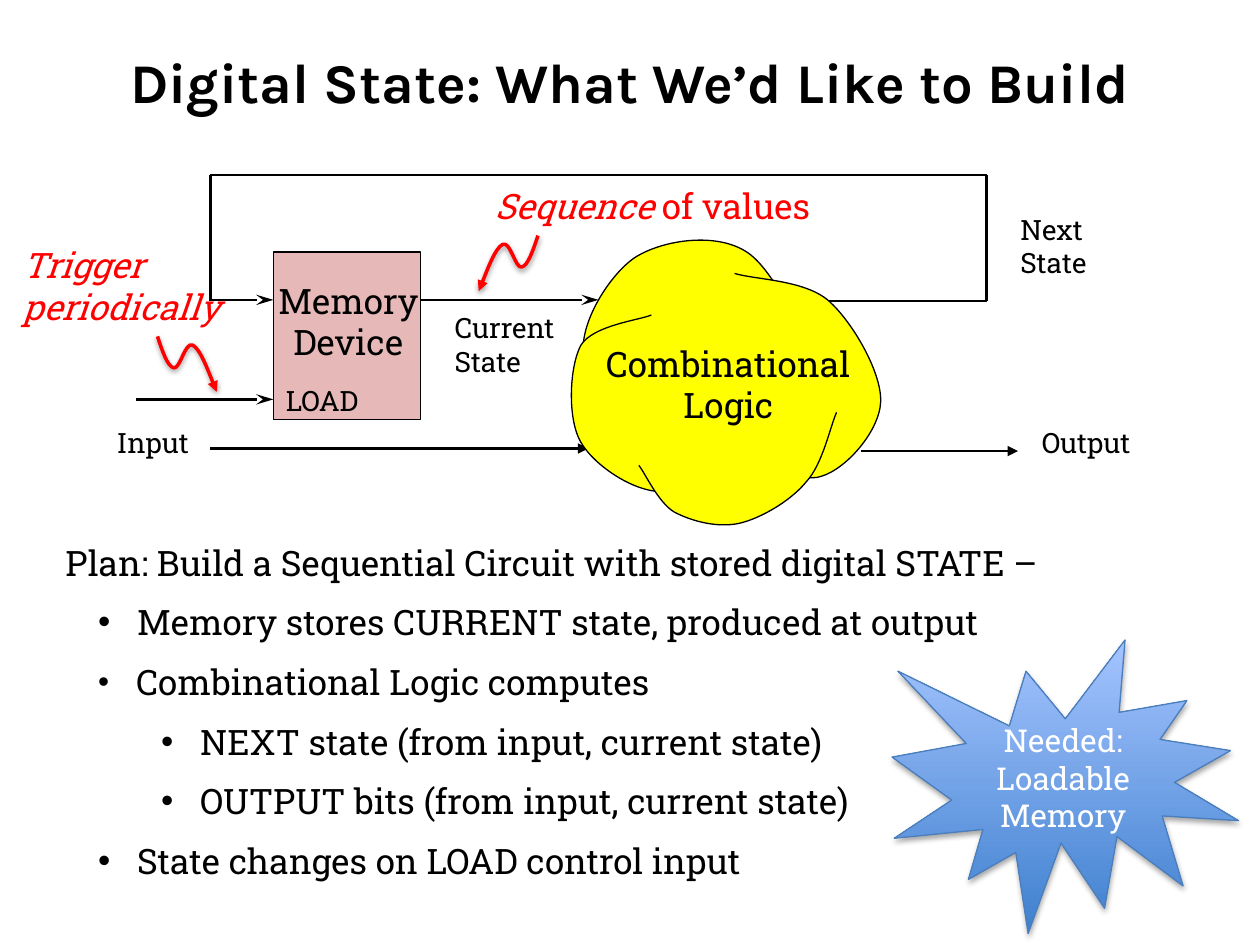
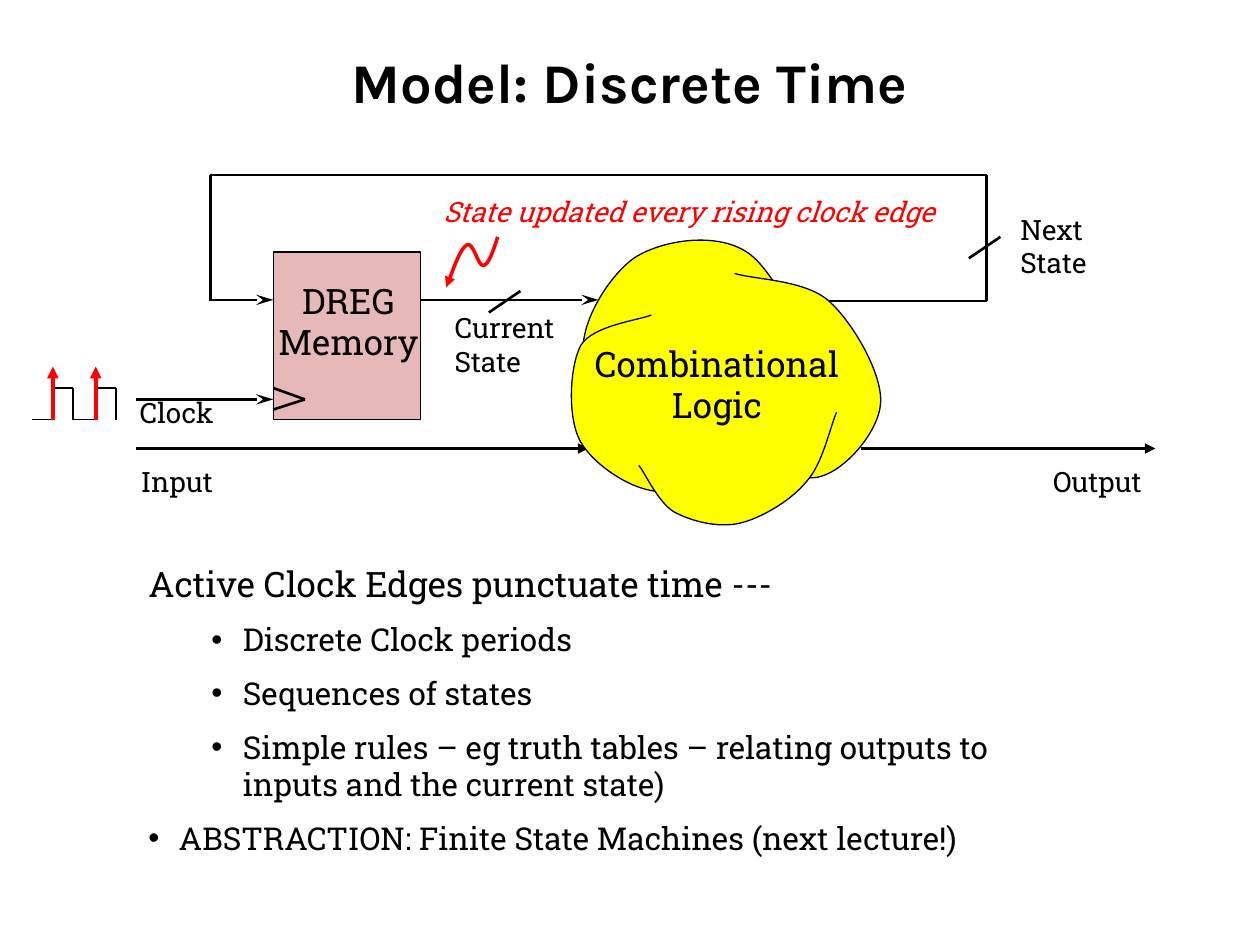
from dataclasses import dataclass
from itertools import pairwise
from math import cos, radians, sin
from typing import Optional

from lxml.etree import SubElement
from pptx import Presentation
from pptx.dml.color import RGBColor
from pptx.enum.shapes import MSO_CONNECTOR, MSO_SHAPE
from pptx.enum.text import MSO_ANCHOR, MSO_AUTO_SIZE, PP_ALIGN
from pptx.oxml.ns import qn
from pptx.util import Inches, Pt

BLACK, WHITE, RED = "000000", "FFFFFF", "FF0000"
CLOUD_YELLOW, MEMORY_PINK = "FFFF00", "E6B9B8"
SEAL_DARK, SEAL_LIGHT, SEAL_EDGE = "3F80CE", "A4C4FF", "4B7EBC"
TITLE_FONT, BODY_FONT = "Karla", "Roboto Slab"
LINE_PITCH = 1.19

Point = tuple[float, float]
Curve = tuple[Point, ...]


@dataclass(frozen=True)
class Run:
    text: str
    size: float = 20
    color: str = BLACK
    italic: bool = False
    bold: bool = False
    font: str = BODY_FONT


@dataclass(frozen=True)
class Para:
    runs: tuple[Run, ...]
    margin: float = 0
    hang: float = 0
    bullet: bool = False
    before: float = 0
    align: PP_ALIGN = PP_ALIGN.LEFT


@dataclass(frozen=True)
class Box:
    left: float
    top: float
    width: float
    height: float


@dataclass(frozen=True)
class Wire:
    start: Point
    end: Point
    head: Optional[str] = None
    color: str = BLACK
    width: float = 1.5


@dataclass(frozen=True)
class Lobe:
    controls: Curve
    turn: float = 0
    centre: Point = (0, 0)


CLOUD_LOBES = (
    Lobe(((6.52, 2.93), (6.42, 2.78), (6.16, 2.13), (5.91, 1.99), (5.66, 1.84), (5.24, 1.91), (5.03, 2.05),
          (4.82, 2.2), (4.57, 2.61), (4.64, 2.86), (4.7, 3.12), (5.24, 3.43), (5.4, 3.58))),
    Lobe(((5.17, 2.5), (5.08, 2.54), (4.71, 2.58), (4.61, 2.74), (4.52, 2.91), (4.5, 3.32), (4.61, 3.51),
          (4.72, 3.7), (5.05, 3.92), (5.28, 3.9), (5.52, 3.89), (5.86, 3.52), (6.01, 3.41))),
    Lobe(((5.84, 3.56), (5.95, 3.6), (6.33, 3.85), (6.52, 3.78), (6.72, 3.72), (6.98, 3.42), (6.99, 3.19),
          (7, 2.96), (6.77, 2.56), (6.58, 2.39), (6.39, 2.22), (5.99, 2.22), (5.83, 2.17))),
    Lobe(((5.07, 3.7), (5.12, 3.76), (5.22, 3.99), (5.35, 4.07), (5.48, 4.14), (5.69, 4.2), (5.87, 4.16),
          (6.04, 4.12), (6.28, 3.98), (6.4, 3.83), (6.53, 3.69), (6.59, 3.39), (6.64, 3.28)),
         302.1, (5.87, 3.59)),
)
SQUIGGLE = ((0, 0), (0.04, 0.12), (0.08, 0.24), (0.13, 0.25), (0.18, 0.26), (0.22, 0.04), (0.28, 0.07),
            (0.34, 0.1), (0.47, 0.44), (0.47, 0.44))
MEMORY = Box(2.17, 2, 1.17, 1.33)
STATE_WIRES = (
    Wire((1.08, 3.17), (2.17, 3.17), "stealth"),
    Wire((1.67, 2.38), (2.17, 2.38), "stealth"),
    Wire((3.33, 2.38), (4.75, 2.38), "stealth"),
)
FEEDBACK = ((6.58, 2.39), (7.83, 2.39), (7.83, 1.39), (1.67, 1.39), (1.67, 2.39))


def rgb(color: str) -> RGBColor:
    return RGBColor.from_string(color)


def add_shadow(shape, opacity: int, distance: float) -> None:
    effects = shape.element.spPr.find(qn("a:effectLst"))
    shadow = SubElement(effects, qn("a:outerShdw"), blurRad=str(Pt(3.1)), dist=str(Pt(distance)),
                        dir="5400000", rotWithShape="0")
    tint = SubElement(shadow, qn("a:srgbClr"), val=BLACK)
    SubElement(tint, qn("a:alpha"), val=str(opacity * 1000))


def set_line(shape, color: str, width: float, head: Optional[str] = None) -> None:
    shape.line.color.rgb = rgb(color)
    shape.line.width = Pt(width)
    if head:
        SubElement(shape.element.spPr.find(qn("a:ln")), qn("a:tailEnd"), type=head,
                   len="lg" if head == "stealth" else "med")


def write(frame, paras: list[Para]) -> None:
    for index, para in enumerate(paras):
        paragraph = frame.paragraphs[0] if index == 0 else frame.add_paragraph()
        paragraph.alignment = para.align
        paragraph.line_spacing = Pt(LINE_PITCH * max(run.size for run in para.runs))
        paragraph.space_before = Pt(para.before if index else 0)
        props = paragraph._p.get_or_add_pPr()
        props.set("marL", str(Inches(para.margin)))
        props.set("indent", str(-Inches(para.hang)))
        if para.bullet:
            SubElement(props, qn("a:buFont"), typeface="Arial")
            SubElement(props, qn("a:buChar"), char="•")
        for part in para.runs:
            run = paragraph.add_run()
            run.text = part.text
            font = run.font
            font.name, font.size = part.font, Pt(part.size)
            font.bold, font.italic = part.bold, part.italic
            font.color.rgb = rgb(part.color)


def add_text(slide, box: Box, paras: list[Para], wrap: bool = False, title: bool = False) -> None:
    frame = slide.shapes.add_textbox(
        Inches(box.left), Inches(box.top), Inches(box.width), Inches(box.height)).text_frame
    frame.word_wrap = wrap
    if title:
        frame.vertical_anchor = MSO_ANCHOR.MIDDLE
    else:
        frame.auto_size = MSO_AUTO_SIZE.SHAPE_TO_FIT_TEXT
    write(frame, paras)


def add_label(slide, box: Box, *lines: str, size: float = 16, centred: bool = False) -> None:
    align = PP_ALIGN.CENTER if centred else PP_ALIGN.LEFT
    add_text(slide, box, [Para((Run(line, size),), align=align) for line in lines])


def add_preset(slide, kind: MSO_SHAPE, box: Box):
    shape = slide.shapes.add_shape(
        kind, Inches(box.left), Inches(box.top), Inches(box.width), Inches(box.height))
    shape.shadow.inherit = False
    return shape


def add_wire(slide, wire: Wire) -> None:
    (x1, y1), (x2, y2) = wire.start, wire.end
    connector = slide.shapes.add_connector(
        MSO_CONNECTOR.STRAIGHT, Inches(x1), Inches(y1), Inches(x2), Inches(y2))
    set_line(connector, wire.color, wire.width, wire.head)
    SubElement(connector.element.spPr, qn("a:effectLst"))


def add_route(slide, points: Curve, width: float = 1.5) -> None:
    for start, end in pairwise(points):
        add_wire(slide, Wire(start, end, width=width))


def add_curve(slide, controls: Curve):
    start, *rest = [(Inches(x), Inches(y)) for x, y in controls]
    builder = slide.shapes.build_freeform(*start)
    builder.add_line_segments(rest, close=False)
    curve = builder.convert_to_shape()
    curve.shadow.inherit = False
    segments = list(curve.element.iter(qn("a:lnTo")))
    for first in range(0, len(segments), 3):
        outline = segments[first].getparent()
        bezier = SubElement(outline, qn("a:cubicBezTo"))
        for segment in segments[first:first + 3]:
            bezier.append(segment[0])
            outline.remove(segment)
    return curve


def turned(controls: Curve, centre: Point, degrees: float) -> Curve:
    (cx, cy), c, s = centre, cos(radians(degrees)), sin(radians(degrees))
    return tuple((cx + (x - cx) * c - (y - cy) * s, cy + (x - cx) * s + (y - cy) * c)
                 for x, y in controls)


def add_lobe(slide, lobe: Lobe) -> None:
    curve = add_curve(slide, turned(lobe.controls, lobe.centre, -lobe.turn))
    curve.rotation = lobe.turn
    curve.fill.solid()
    curve.fill.fore_color.rgb = rgb(CLOUD_YELLOW)
    set_line(curve, BLACK, 0.75)


def add_squiggle(slide, left: float, top: float, x_scale: float = 1, y_scale: float = 1,
                 shadowed: bool = True) -> None:
    curve = add_curve(slide, tuple((left + x * x_scale, top + y * y_scale) for x, y in SQUIGGLE))
    curve.fill.background()
    set_line(curve, RED, 2, "triangle")
    if shadowed:
        add_shadow(curve, 38, 1.6)


def add_title(slide, title: str) -> None:
    run = Run(title, 32, bold=True, font=TITLE_FONT)
    add_text(slide, Box(0.5, 0.3, 9, 0.7), [Para((run,), align=PP_ALIGN.CENTER)], wrap=True, title=True)


def add_state_machine(slide, memory_lines: tuple[str, str], logic_left: float,
                      input_start: float, output_wire: Wire, input_at: Point, output_at: Point) -> None:
    add_wire(slide, Wire((input_start, 3.56), (4.67, 3.56), "triangle"))
    for lobe in CLOUD_LOBES:
        add_lobe(slide, lobe)
    add_label(slide, Box(logic_left, 2.67, 2.22, 0.77), "Combinational", "Logic", size=20, centred=True)
    for wire in STATE_WIRES:
        add_wire(slide, wire)
    add_route(slide, FEEDBACK)
    add_wire(slide, output_wire)
    add_label(slide, Box(3.51, 2.42, 1.11, 0.64), "Current", "State")
    add_label(slide, Box(8, 1.64, 0.77, 0.64), "Next", "State")
    add_label(slide, Box(*input_at, 0.8, 0.37), "Input")
    add_label(slide, Box(*output_at, 1.03, 0.37), "Output")
    memory = add_preset(slide, MSO_SHAPE.RECTANGLE, MEMORY)
    memory.fill.solid()
    memory.fill.fore_color.rgb = rgb(MEMORY_PINK)
    set_line(memory, BLACK, 0.75)
    add_label(slide, Box(2.11, 2.17, 1.31, 0.77), *memory_lines, size=20, centred=True)


def add_seal(slide) -> None:
    seal = add_preset(slide, MSO_SHAPE.EXPLOSION1, Box(7.08, 5.08, 2.75, 2.33))
    seal.fill.gradient()
    seal.fill.gradient_angle = 90
    for stop, color, position in zip(seal.fill.gradient_stops, (SEAL_DARK, SEAL_LIGHT), (0, 1)):
        stop.color.rgb = rgb(color)
        stop.position = position
    set_line(seal, SEAL_EDGE, 0.75)
    add_shadow(seal, 35, 1.8)
    seal.text_frame.vertical_anchor = MSO_ANCHOR.MIDDLE
    write(seal.text_frame, [Para((Run(word, 18, WHITE),), align=PP_ALIGN.CENTER)
                            for word in ("Needed:", "Loadable", "Memory")])


def build_digital_state(slide) -> None:
    def point(margin: float, *runs: Run) -> Para:
        return Para(runs, margin, 0.24, True, 10.3)

    add_text(slide, Box(0.42, 4.25, 8.58, 2.96), [
        Para((Run("Plan: Build a Sequential Circuit with stored digital STATE –"),)),
        point(0.5, Run(" Memory stores CURRENT state, produced at output")),
        point(0.5, Run(" ", 18), Run("Combinational Logic computes")),
        point(1, Run(" NEXT state (from input, current state)")),
        point(1, Run(" OUTPUT bits (from input, current state)")),
        point(0.5, Run(" State changes on LOAD control input")),
    ], wrap=True)
    add_state_machine(slide, ("Memory", "Device"), 4.67, 1.67,
                      Wire((6.83, 3.58), (8.08, 3.58), "triangle"), (0.83, 3.33), (8.17, 3.33))
    add_label(slide, Box(2.17, 3, 0.86, 0.37), "LOAD")
    add_title(slide, "Digital State: What We’d Like to Build")
    add_text(slide, Box(3.83, 1.42, 2.81, 0.44),
             [Para((Run("Sequence ", color=RED, italic=True), Run("of values", color=RED)))])
    add_squiggle(slide, 4.27, 1.87, x_scale=-1)
    add_text(slide, Box(0.08, 1.89, 1.92, 0.77),
             [Para((Run("Trigger periodically", color=RED, italic=True),))], wrap=True)
    add_squiggle(slide, 1.25, 2.67)
    add_seal(slide)


def build_discrete_time(slide) -> None:
    rules = ("Discrete Clock periods", "Sequences of states",
             "Simple rules – eg truth tables – relating outputs to inputs and the current state)")
    add_text(slide, Box(1.08, 4.42, 7.42, 2.54), [
        Para((Run("Active Clock Edges punctuate time ---"),), 0.24, 0.24),
        *(Para((Run(rule, 18),), 0.75, 0.25, True, 9.2) for rule in rules),
        Para((Run("ABSTRACTION: Finite State Machines (next lecture!)", 18),), 0.24, 0.24, True, 9.2),
    ], wrap=True)
    add_state_machine(slide, ("DREG", "Memory"), 4.58, 1.08,
                      Wire((6.83, 3.56), (9.17, 3.56), "triangle"), (1.02, 3.64), (8.26, 3.64))
    add_route(slide, ((2.17, 3.08), (2.42, 3.17), (2.17, 3.25)))
    add_label(slide, Box(1.01, 3.09, 0.82, 0.37), "Clock")
    low, high = 3.33, 3.08
    add_route(slide, ((0.25, low), (0.42, low), (0.42, high), (0.58, high), (0.58, low),
                      (0.75, low), (0.75, high), (0.92, high), (0.92, low)), width=0.75)
    for bus_x, bus_y in ((3.88, 2.48), (7.69, 2.05)):
        add_wire(slide, Wire((bus_x + 0.25, bus_y - 0.17), (bus_x, bus_y)))
    for edge_x in (0.42, 0.76):
        add_wire(slide, Wire((edge_x, low), (edge_x, 2.91), "triangle", RED, 2.25))
    add_title(slide, "Model: Discrete Time")
    add_text(slide, Box(3.42, 1.5, 4.28, 0.37),
             [Para((Run("State updated every rising clock edge", 16, RED, italic=True),))])
    add_squiggle(slide, 3.95, 1.88, x_scale=-0.87, y_scale=0.91, shadowed=False)


def main() -> None:
    deck = Presentation()
    deck.slide_width, deck.slide_height = Inches(10), Inches(7.5)
    for build in (build_digital_state, build_discrete_time):
        build(deck.slides.add_slide(deck.slide_layouts[6]))
    deck.save("out.pptx")


if __name__ == "__main__":
    main()
